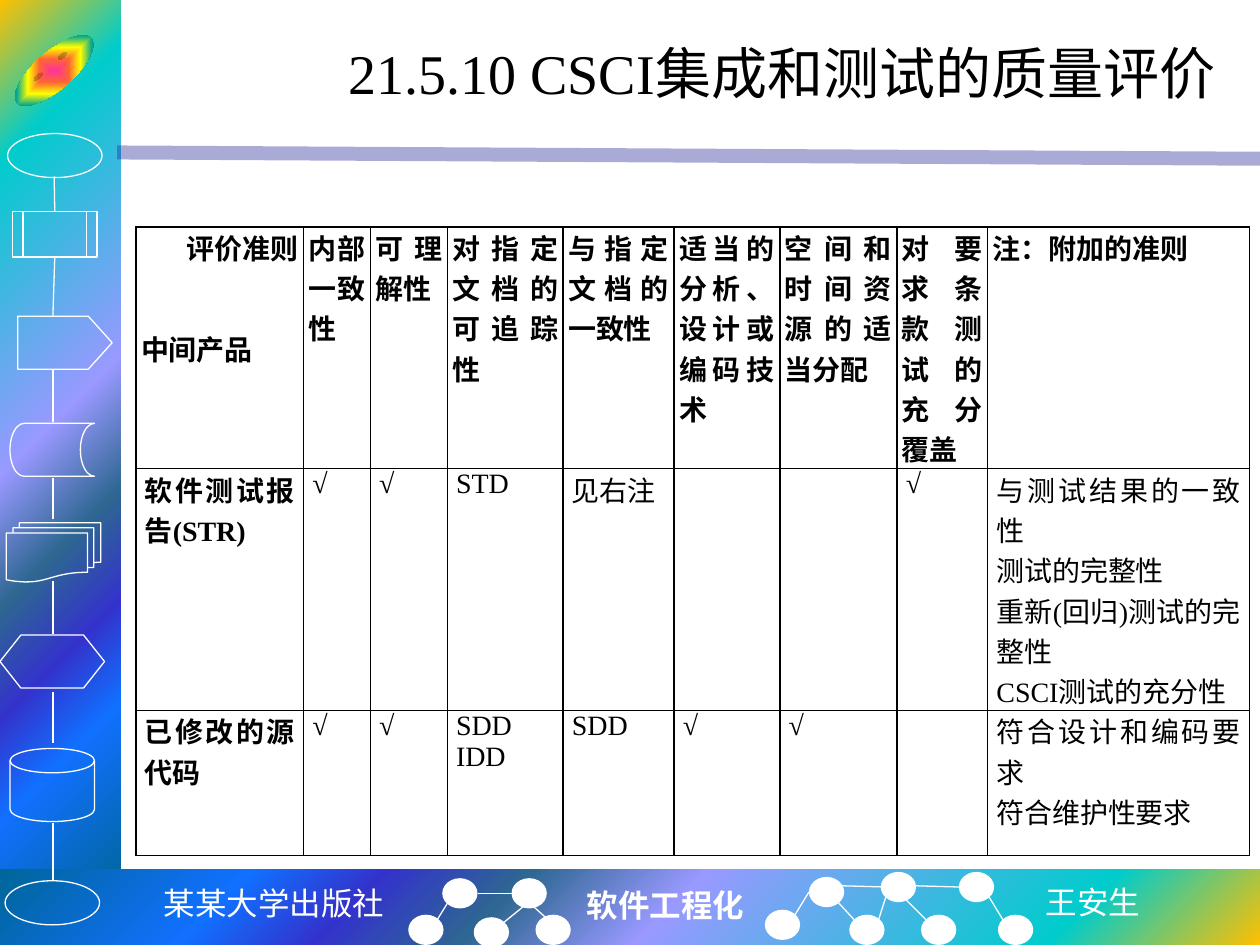
"""Build the slide on quality evaluation of CSCI integration and testing."""
from typing import NamedTuple, Optional

from lxml.etree import SubElement
from pptx import Presentation
from pptx.dml.color import RGBColor
from pptx.enum.shapes import MSO_CONNECTOR, MSO_SHAPE
from pptx.enum.text import MSO_ANCHOR, MSO_AUTO_SIZE, PP_ALIGN
from pptx.oxml import parse_xml
from pptx.oxml.ns import nsdecls, qn
from pptx.util import Inches, Pt

WHITE = RGBColor(0xFF, 0xFF, 0xFF)
BLACK = RGBColor(0x00, 0x00, 0x00)
NAVY = RGBColor(0x26, 0x26, 0x99)
SERIF, MONO, SANS = "Times New Roman", "Noto Sans Mono", "Noto Sans CJK SC"

BAR_STOPS = [(0, "FFC000"), (16, "00CCCC"), (47, "9999FF"), (60, "2E6792"),
             (71, "3333CC"), (81, "1170FF"), (100, "006699")]
FACE_STOPS = [(0, "FF3399"), (25, "FF6633"), (50, "FFFF00"), (75, "01A78F"), (100, "3366FF")]


class Box(NamedTuple):
    x: float
    y: float
    w: float
    h: float


class Symbol(NamedTuple):
    kind: MSO_SHAPE
    box: Box


class Link(NamedTuple):
    x1: float
    y1: float
    x2: float
    y2: float


class Label(NamedTuple):
    text: str
    box: Box
    font: str
    size: int = 18
    color: RGBColor = WHITE
    bold: bool = False
    align: Optional[PP_ALIGN] = None
    wrap: bool = False


PROCESS = Symbol(MSO_SHAPE.FLOWCHART_PREDEFINED_PROCESS, Box(0.1, 1.68, 0.67, 0.36))
SYMBOLS = [
    Symbol(MSO_SHAPE.OVAL, Box(0.06, 1.06, 0.75, 0.35)),
    Symbol(MSO_SHAPE.PENTAGON, Box(0.14, 2.51, 0.75, 0.42)),
    Symbol(MSO_SHAPE.FLOWCHART_STORED_DATA, Box(0.08, 3.36, 0.67, 0.42)),
    Symbol(MSO_SHAPE.FLOWCHART_MULTIDOCUMENT, Box(0.05, 4.15, 0.75, 0.47)),
    Symbol(MSO_SHAPE.FLOWCHART_PREPARATION, Box(0, 5.04, 0.83, 0.42)),
    Symbol(MSO_SHAPE.FLOWCHART_MAGNETIC_DISK, Box(0.08, 5.94, 0.67, 0.58)),
    Symbol(MSO_SHAPE.OVAL, Box(0.04, 6.99, 0.75, 0.35)),
]
FLOW_SPANS = [(2.93, 3.35), (3.79, 4.12), (4.61, 5.03), (5.49, 5.9), (6.53, 6.99)]
DOTS = [(3.51, 6.97), (4.06, 6.97), (3.24, 7.26), (3.76, 7.28), (4.25, 7.26),
        (6.42, 6.96), (6.99, 6.92), (7.61, 6.92), (6.07, 7.22), (6.74, 7.26),
        (7.31, 7.26), (7.92, 7.26)]
DOT_LINKS = [
    Link(3.47, 7.3, 3.55, 7.17), Link(4, 7.32, 4.16, 7.19), Link(4.06, 7.09, 3.79, 7.09),
    Link(4.34, 7.29, 4.24, 7.2), Link(6.78, 7.3, 6.65, 7.16), Link(7.35, 7.3, 7.15, 7.1),
    Link(7.96, 7.3, 7.85, 7.12), Link(6.97, 7.31, 7.03, 7.12), Link(7.26, 7.03, 7.61, 7.04),
    Link(6.31, 7.26, 6.42, 7.08), Link(6.68, 7.03, 7.03, 7.04),
]
LABELS = [
    Label("某某大学出版社", Box(1.19, 6.97, 1.97, 0.4), MONO, align=PP_ALIGN.CENTER),
    Label("软件工程化", Box(4.56, 6.98, 1.46, 0.4), SERIF, bold=True),
    Label("王安生", Box(8.2, 6.96, 0.96, 0.4), SANS),
    Label("21.5.10 CSCI集成和测试的质量评价", Box(1.25, 0.17, 8.5, 0.81), SERIF, 32, BLACK,
          align=PP_ALIGN.RIGHT, wrap=True),
]
COLUMNS = [1.33, 0.53, 0.61, 0.92, 0.88, 0.84, 0.93, 0.72, 2.08]
ROWS = [1.92, 1.92, 1.15]
CELLS = [
    ["评价准则\n中间产品", "内部一致性", "可理解性", "对指定文档的可追踪性", "与指定文档的一致性",
     "适当的分析、设计或编码技术", "空间和时间资源的适当分配", "对要求条款测试的充分覆盖",
     "注：附加的准则"],
    ["软件测试报告(STR)", "√", "√", "STD", "见右注", "", "", "√",
     "与测试结果的一致性\n测试的完整性\n重新(回归)测试的完整性\nCSCI测试的充分性"],
    ["已修改的源代码", "√", "√", "SDD\nIDD", "SDD", "√", "√", "",
     "符合设计和编码要求\n符合维护性要求"],
]


def add_symbol(shapes, symbol: Symbol, filled: bool = False, outlined: bool = True):
    s = shapes.add_shape(symbol.kind, *map(Inches, symbol.box))
    s.shadow.inherit = False
    if filled:
        s.fill.solid()
        s.fill.fore_color.rgb = WHITE
    else:
        s.fill.background()
    if outlined:
        s.line.color.rgb = WHITE
        s.line.width = Pt(0.75)
    else:
        s.line.fill.background()
    return s


def set_gradient(s, stops: list, shade: str, focus: tuple) -> None:
    gs = "".join(f'<a:gs pos="{pos * 1000}"><a:srgbClr val="{rgb}"/></a:gs>' for pos, rgb in stops)
    sides = " ".join(f'{side}="{value * 1000}"' for side, value in zip("ltrb", focus))
    grad = parse_xml(f'<a:gradFill {nsdecls("a")} rotWithShape="1"><a:gsLst>{gs}</a:gsLst>'
                     f'<a:path path="{shade}"><a:fillToRect {sides}/></a:path></a:gradFill>')
    props = s.element.spPr
    props.replace(props.find(qn("a:noFill")), grad)


def add_link(shapes, link: Link, color: RGBColor = WHITE, width: float = 0.75):
    c = shapes.add_connector(MSO_CONNECTOR.STRAIGHT, *map(Inches, link))
    c.line.color.rgb = color
    c.line.width = Pt(width)
    SubElement(c.element.spPr, qn("a:effectLst"))
    return c


def add_label(shapes, label: Label) -> None:
    tf = shapes.add_textbox(*map(Inches, label.box)).text_frame
    tf.word_wrap = label.wrap
    tf.auto_size = MSO_AUTO_SIZE.NONE if label.wrap else MSO_AUTO_SIZE.SHAPE_TO_FIT_TEXT
    tf.vertical_anchor = MSO_ANCHOR.MIDDLE if label.wrap else MSO_ANCHOR.TOP
    tf.text = label.text
    p = tf.paragraphs[0]
    p.alignment = label.align
    p.font.name, p.font.size, p.font.bold = label.font, Pt(label.size), label.bold
    p.font.color.rgb = label.color


def fill_cell(cell, text: str, margin: float, bold: bool) -> None:
    cell.margin_left = cell.margin_right = Inches(margin)
    cell.margin_top = cell.margin_bottom = 0
    cell.text = text
    for p in cell.text_frame.paragraphs:
        p.alignment = PP_ALIGN.JUSTIFY
        p.font.name, p.font.size, p.font.bold = SERIF, Pt(16), bold
        p.font.color.rgb = BLACK
    props = cell._tc.get_or_add_tcPr()
    for side in "LRTB":
        props.append(parse_xml(f'<a:ln{side} {nsdecls("a")} w="12700"><a:solidFill>'
                               f'<a:srgbClr val="{BLACK}"/></a:solidFill></a:ln{side}>'))
    cell.fill.background()


def add_criteria_table(shapes) -> None:
    box = Box(1.08, 1.8, sum(COLUMNS), sum(ROWS))
    table = shapes.add_table(len(ROWS), len(COLUMNS), *map(Inches, box)).table
    table.first_row = table.horz_banding = False
    for column, width in zip(table.columns, COLUMNS):
        column.width = Inches(width)
    for i, (row, height) in enumerate(zip(table.rows, ROWS)):
        row.height = Inches(height)
        for j, cell in enumerate(row.cells):
            fill_cell(cell, CELLS[i][j], 0.07 if i else 0.04, i == 0 or j == 0)
    criteria, products = table.cell(0, 0).text_frame.paragraphs
    criteria.alignment = PP_ALIGN.RIGHT
    products.alignment = PP_ALIGN.LEFT
    products.space_before = Pt(35)


def main() -> None:
    prs = Presentation()
    prs.slide_width, prs.slide_height = Inches(10), Inches(7.5)
    shapes = prs.slides.add_slide(prs.slide_layouts[6]).shapes

    for box, focus in ((Box(0, 0, 0.96, 7.09), (0, 0, 100, 100)),
                       (Box(0, 6.9, 10, 0.6), (100, 100, 0, 0))):
        bar = add_symbol(shapes, Symbol(MSO_SHAPE.RECTANGLE, box), outlined=False)
        set_gradient(bar, BAR_STOPS, "circle", focus)
    rule = add_link(shapes, Link(0.93, 1.21, 10, 1.26), NAVY, 8)
    SubElement(rule.element.spPr.find(".//" + qn("a:srgbClr")), qn("a:alpha"), val="39000")

    face = add_symbol(shapes, Symbol(MSO_SHAPE.SMILEY_FACE, Box(0.04, 0.41, 0.78, 0.3)),
                      outlined=False)
    face.adjustments[0] = 0.05
    face.rotation = -41
    set_gradient(face, FACE_STOPS, "shape", (50, 50, 50, 50))

    for symbol in SYMBOLS:
        s = add_symbol(shapes, symbol)
        if symbol.kind == MSO_SHAPE.PENTAGON:
            s.adjustments[0] = 0.45
    process = add_symbol(shapes, PROCESS)
    add_link(shapes, Link(0.43, 1.4, 0.43, 1.68)).end_connect(process, 0)
    add_link(shapes, Link(0.43, 2.05, 0.42, 2.51)).begin_connect(process, 2)
    for top, bottom in FLOW_SPANS:
        add_link(shapes, Link(0.42, top, 0.42, bottom))

    for x, y in DOTS:
        add_symbol(shapes, Symbol(MSO_SHAPE.OVAL, Box(x, y, 0.28, 0.24)), True, False)
    for link in DOT_LINKS:
        add_link(shapes, link)
    for label in LABELS:
        add_label(shapes, label)
    add_criteria_table(shapes)
    prs.save("out.pptx")


if __name__ == "__main__":
    main()
